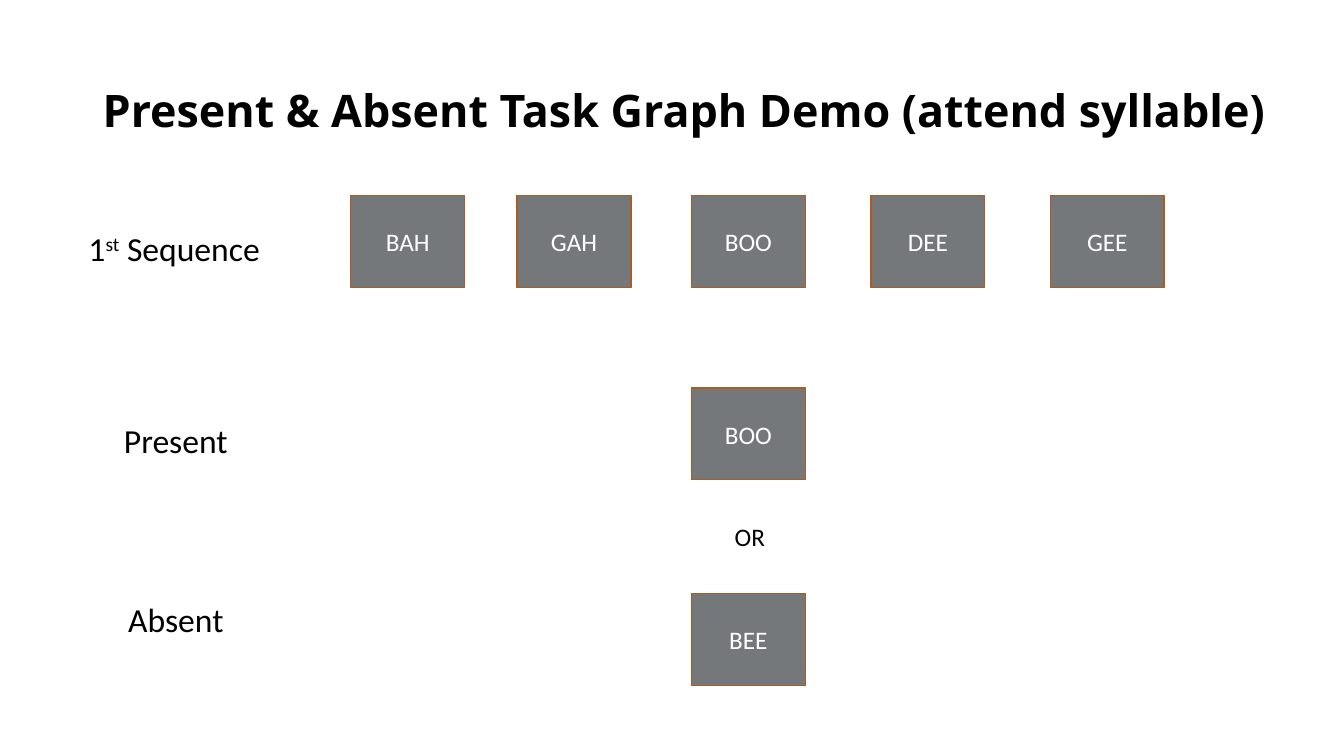
import dataclasses

import pptx
import pptx.dml.color
import pptx.enum.shapes
import pptx.enum.text
import pptx.util

Pt = pptx.util.Pt
Color = pptx.dml.color.RGBColor.from_string
Align = pptx.enum.text.PP_ALIGN
Anchor = pptx.enum.text.MSO_ANCHOR


@dataclasses.dataclass(frozen=True)
class Theme:
    ink: str = "000000"
    tile_fill: str = "75787B"
    tile_line: str = "AC5B23"
    tile_text: str = "FFFFFF"
    title_font: str = "Open Sans"
    body_font: str = "Calibri"
    title_size: float = 32
    label_size: float = 24
    tile_size: float = 18


THEME = Theme()
TILE_WIDTH, TILE_HEIGHT = 81.36, 65.52
CENTRE_LEFT = 493.92
SEQUENCE = {250.56: "BAH", 369.36: "GAH", CENTRE_LEFT: "BOO", 622.08: "DEE", 750.24: "GEE"}


def apply_format(target, values):
    for name, value in values.items():
        setattr(target, name, value)


def write(shape, spans, size, color=THEME.ink, font=THEME.body_font, bold=False,
          align=Align.LEFT, anchor=Anchor.TOP, spacing=1.0):
    """Fill a shape with one paragraph of (text, superscript percent) spans."""
    frame = shape.text_frame
    apply_format(frame, {
        "word_wrap": True, "vertical_anchor": anchor,
        "margin_left": Pt(7.2), "margin_right": Pt(7.2),
        "margin_top": Pt(3.6), "margin_bottom": Pt(3.6),
    })
    para = frame.paragraphs[0]
    apply_format(para, {"alignment": align, "line_spacing": spacing})
    for text, raised in spans:
        span = para.add_run()
        span.text = text
        apply_format(span.font, {"name": font, "size": Pt(size), "bold": bold})
        span.font.color.rgb = Color(color)
        if raised:
            span._r.get_or_add_rPr().set("baseline", str(raised * 1000))


def add_text(page, box, spans, size, **style):
    write(page.shapes.add_textbox(*map(Pt, box)), spans, size, **style)


def add_title(page, box):
    add_text(page, box, [("Present & Absent Task Graph Demo (attend syllable)", 0)],
             THEME.title_size, font=THEME.title_font, bold=True,
             anchor=Anchor.MIDDLE, spacing=0.9)


def add_tile(page, left, top, syllable):
    tile = page.shapes.add_shape(pptx.enum.shapes.MSO_SHAPE.RECTANGLE,
                                 *map(Pt, (left, top, TILE_WIDTH, TILE_HEIGHT)))
    tile.shadow.inherit = False
    tile.fill.solid()
    tile.fill.fore_color.rgb = Color(THEME.tile_fill)
    tile.line.color.rgb = Color(THEME.tile_line)
    tile.line.width = Pt(1)
    write(tile, [(syllable, 0)], THEME.tile_size, color=THEME.tile_text,
          align=Align.CENTER, anchor=Anchor.MIDDLE)


def add_row(page, box, label, label_offset, tiles, align=Align.CENTER):
    """Place a label in the box's left column and tiles along its top edge."""
    left, top, label_width, label_height = box
    add_text(page, (left, top + label_offset, label_width, label_height),
             label, THEME.label_size, align=align)
    for tile_left, syllable in tiles.items():
        add_tile(page, tile_left, top, syllable)


def add_task_rows(page, left, label_width, label_height):
    rows = [
        (139.68, [("1", 0), ("st", 30), (" Sequence", 0)], 19.44, SEQUENCE, Align.LEFT),
        (277.2, [("Present", 0)], 19.44, {CENTRE_LEFT: "BOO"}, Align.CENTER),
        (424.08, [("Absent", 0)], 0, {CENTRE_LEFT: "BEE"}, Align.CENTER),
    ]
    for top, label, offset, tiles, align in rows:
        add_row(page, (left, top, label_width, label_height), label, offset, tiles, align)


def main():
    deck = pptx.Presentation()
    apply_format(deck, {"slide_width": Pt(960), "slide_height": Pt(540)})
    page = deck.slides.add_slide(deck.slide_layouts[6])
    add_title(page, (66.24, 28.8, 853.2, 104.4))
    add_task_rows(page, left=56.16, label_width=138.96, label_height=36)
    add_text(page, (517.68, 368.64, 38.88, 28.8), [("OR", 0)], THEME.tile_size)
    deck.save("out.pptx")


if __name__ == "__main__":
    main()
